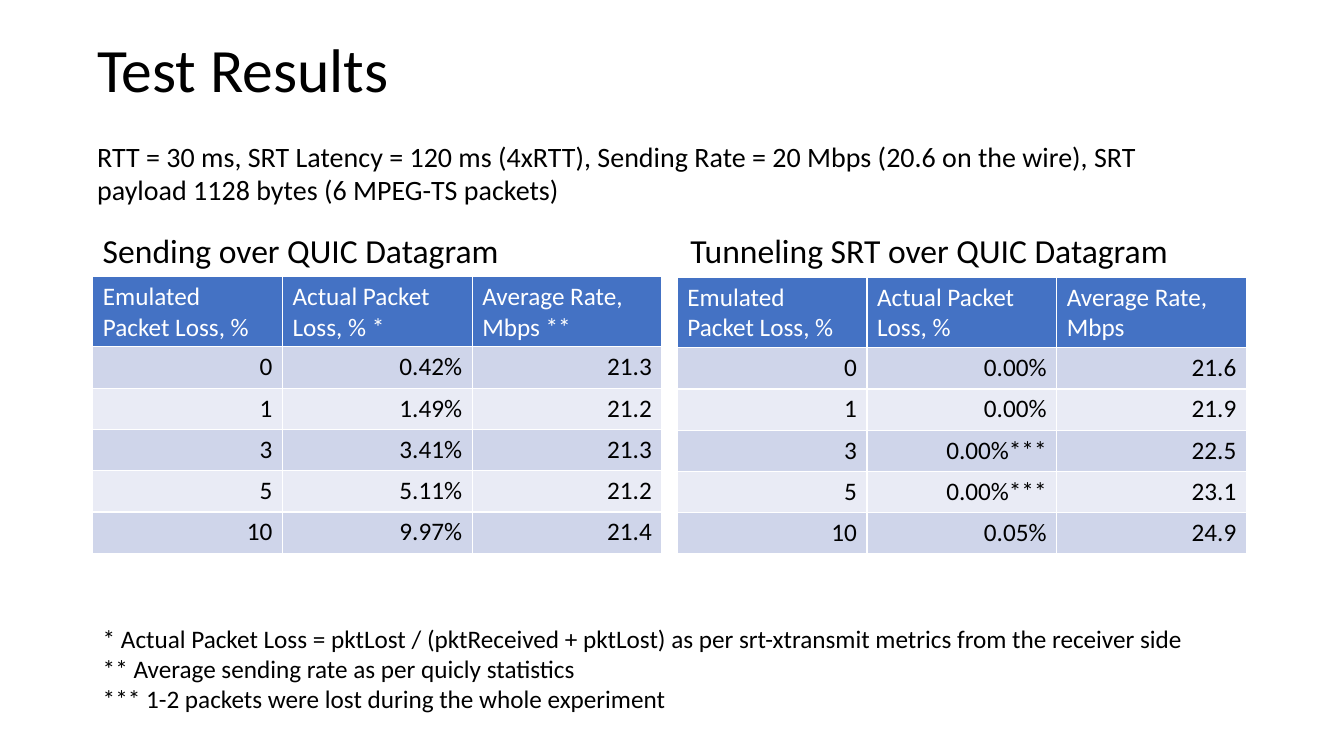
"""Build the slide that compares SRT test results over QUIC datagrams."""
from pptx import Presentation
from pptx.dml.color import RGBColor
from pptx.enum.text import MSO_ANCHOR, PP_ALIGN
from pptx.util import Cm, Pt

TOP, MIDDLE, BOTTOM = MSO_ANCHOR.TOP, MSO_ANCHOR.MIDDLE, MSO_ANCHOR.BOTTOM
LEFT, RIGHT = PP_ALIGN.LEFT, PP_ALIGN.RIGHT

BLACK = RGBColor(0x00, 0x00, 0x00)
WHITE = RGBColor(0xFF, 0xFF, 0xFF)
HEADER_BLUE = RGBColor(0x44, 0x72, 0xC4)
BANDS = [RGBColor(0xCF, 0xD5, 0xEA), RGBColor(0xE9, 0xEB, 0xF5)]
FONT = "Calibri"

TITLE = "Test Results"
SETUP = ("RTT = 30 ms, SRT Latency = 120 ms (4xRTT), Sending Rate = 20 Mbps "
         "(20.6 on the wire), SRT payload 1128 bytes (6 MPEG-TS packets)")
FOOTNOTES = [
    "* Actual Packet Loss = pktLost / (pktReceived + pktLost) "
    "as per srt-xtransmit metrics from the receiver side",
    "** Average sending rate as per quicly statistics",
    "*** 1-2 packets were lost during the whole experiment",
]
RESULTS = [
    {
        "heading": "Sending over QUIC Datagram",
        "heading_box": (2.34, 4.67, 14.33, 2.29),
        "table_corner": (2.34, 6.96),
        "rows": [
            ("Emulated Packet Loss, %", "Actual Packet Loss, % *", "Average Rate, Mbps **"),
            ("0", "0.42%", "21.3"),
            ("1", "1.49%", "21.2"),
            ("3", "3.41%", "21.3"),
            ("5", "5.11%", "21.2"),
            ("10", "9.97%", "21.4"),
        ],
    },
    {
        "heading": "Tunneling SRT over QUIC Datagram",
        "heading_box": (17.15, 4.67, 14.4, 2.29),
        "table_corner": (17.07, 6.98),
        "rows": [
            ("Emulated Packet Loss, %", "Actual Packet Loss, %", "Average Rate, Mbps"),
            ("0", "0.00%", "21.6"),
            ("1", "0.00%", "21.9"),
            ("3", "0.00%***", "22.5"),
            ("5", "0.00%***", "23.1"),
            ("10", "0.05%", "24.9"),
        ],
    },
]
COLUMN_WIDTH, HEADER_HEIGHT, ROW_HEIGHT = 4.78, 1.78, 1.04


def write(para, text, size, color=BLACK):
    """Add one styled run to a paragraph."""
    span = para.add_run()
    span.text = text
    span.font.name = FONT
    span.font.size = Pt(size)
    span.font.bold = False
    span.font.color.rgb = color


def add_text(page, area, lines, size, anchor=TOP, line_spacing=1.0):
    """Place a wrapped text box with one paragraph per line."""
    box = page.shapes.add_textbox(*map(Cm, area))
    frame = box.text_frame
    frame.word_wrap = True
    frame.vertical_anchor = anchor
    for index, line in enumerate(lines):
        para = frame.add_paragraph() if index else frame.paragraphs[0]
        para.line_spacing = line_spacing
        write(para, line, size)


def add_results_table(page, corner, rows):
    """Place a table with a blue header and alternating bands."""
    columns = len(rows[0])
    height = HEADER_HEIGHT + ROW_HEIGHT * (len(rows) - 1)
    area = (*corner, COLUMN_WIDTH * columns, height)
    table = page.shapes.add_table(len(rows), columns, *map(Cm, area)).table
    for column in table.columns:
        column.width = Cm(COLUMN_WIDTH)
    for r, values in enumerate(rows):
        table.rows[r].height = Cm(ROW_HEIGHT if r else HEADER_HEIGHT)
        for c, value in enumerate(values):
            cell = table.cell(r, c)
            cell.fill.solid()
            cell.fill.fore_color.rgb = BANDS[(r - 1) % 2] if r else HEADER_BLUE
            para = cell.text_frame.paragraphs[0]
            para.alignment = RIGHT if r else LEFT
            write(para, value, 18, BLACK if r else WHITE)


def main():
    """Compose the slide and save it."""
    deck = Presentation()
    deck.slide_width, deck.slide_height = Cm(33.87), Cm(19.05)
    page = deck.slides.add_slide(deck.slide_layouts[6])
    add_text(page, (2.2, 0, 29.21, 3.68), [TITLE], 44, MIDDLE, 0.9)
    for result in RESULTS:
        add_text(page, result["heading_box"], [result["heading"]], 24, BOTTOM, 0.9)
        add_results_table(page, result["table_corner"], result["rows"])
    add_text(page, (2.34, 15.57, 30.84, 3.33), FOOTNOTES, 18)
    add_text(page, (2.2, 3.38, 27.48, 1.96), [SETUP], 20)
    deck.save("out.pptx")


if __name__ == "__main__":
    main()
